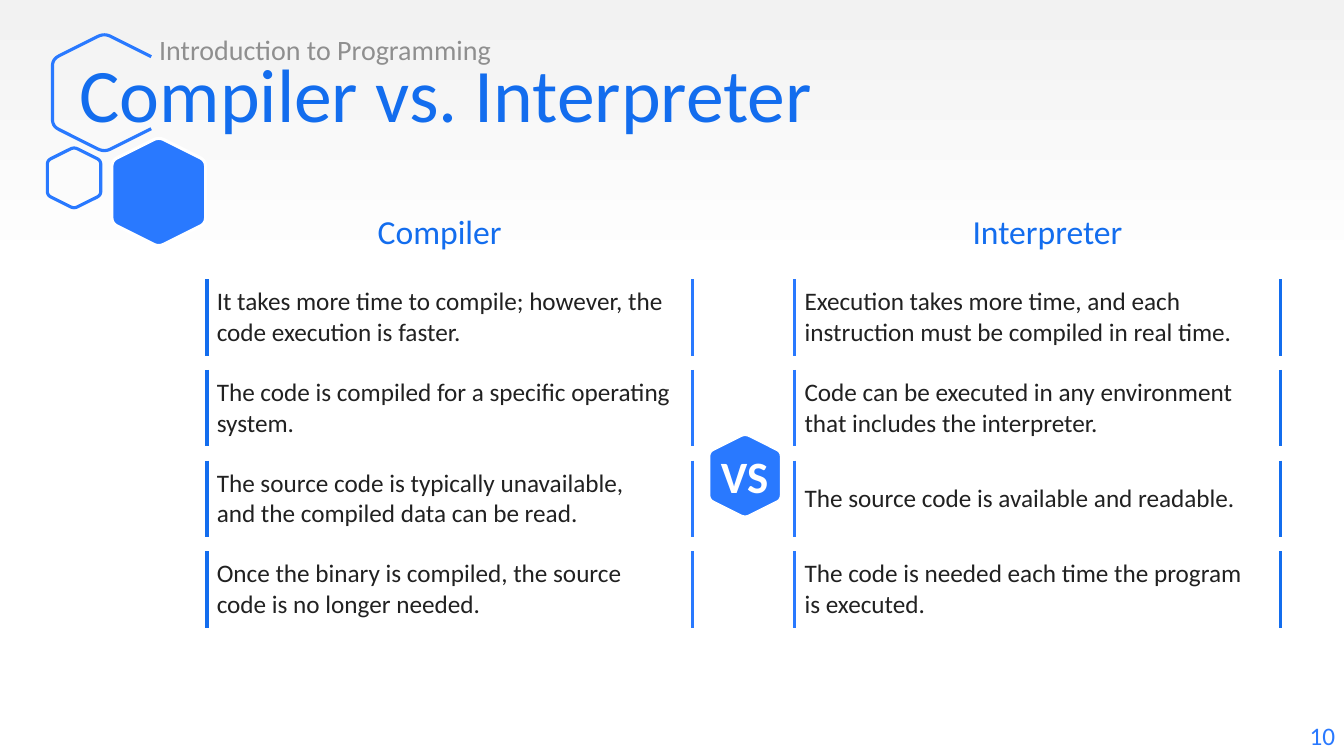
from lxml.etree import SubElement as sub
from pptx import Presentation
from pptx.dml.color import RGBColor as RGB
from pptx.enum.text import MSO_ANCHOR as Anchor, PP_ALIGN as Align
from pptx.oxml.ns import qn
from pptx.util import Inches, Pt

FONT = "Calibri"
HEX = {"blue": "2979FF", "deep": "136DEE", "gray": "8F8F8F", "ink": "212121",
       "white": "FFFFFF", "pale": "F2F2F2"}
PAIRS = [
    ("It takes more time to compile; however, the code execution is faster.",
     "Execution takes more time, and each instruction must be compiled in real time."),
    ("The code is compiled for a specific operating system.",
     "Code can be executed in any environment that includes the interpreter."),
    ("The source code is typically unavailable,\nand the compiled data can be read.",
     "The source code is available and readable."),
    ("Once the binary is compiled, the source\ncode is no longer needed.",
     "The code is needed each time the program\nis executed."),
]


def tint(name):
    return RGB.from_string(HEX[name])


def write(frame, text, size, color, align=Align.LEFT, bold=False):
    para = frame.paragraphs[0]
    para.alignment = align
    for i, line in enumerate(text.split("\n")):
        if i:
            para.add_line_break()
        run = para.add_run()
        run.text = line
        run.font.name, run.font.size, run.font.bold = FONT, Pt(size), bold
        run.font.color.rgb = tint(color)
    return para


def label(slide, box, text, size, color, align=Align.LEFT,
          anchor=Anchor.TOP, bold=False, wrap=True):
    frame = slide.shapes.add_textbox(*map(Inches, box)).text_frame
    frame.word_wrap = wrap
    frame.vertical_anchor = anchor
    write(frame, text, size, color, align, bold)


# Hexagons with rounded corners
def bend(prev, tip, following, reach):
    """Points of a curve that rounds the corner at tip."""
    def toward(end):
        dx, dy = end[0] - tip[0], end[1] - tip[1]
        part = reach / (dx * dx + dy * dy) ** 0.5
        return tip[0] + dx * part, tip[1] + dy * part
    a, b = toward(prev), toward(following)
    steps = [n / 6 for n in range(7)]
    return [tuple((1 - t) ** 2 * a[k] + 2 * t * (1 - t) * tip[k] + t * t * b[k]
                  for k in (0, 1)) for t in steps]


def hexagon(slide, box, reach, fill=None, line="blue", cut=None):
    """Pointed-top hexagon; cut is the width left when the right side is open."""
    x, y, w, h = box
    mid, low, drop = x + w / 2, y + h, w / 4
    tips = [(mid, y), (x, y + drop), (x, low - drop), (mid, low)]
    if cut:
        rise = (cut - w / 2) / 2
        ends = [(x + cut, y + rise), (x + cut, low - rise)]
        tips = [ends[0]] + tips + [ends[1]]
        points = [ends[0]]
        for i in range(1, 5):
            points += bend(*tips[i - 1:i + 2], reach)
        points.append(ends[1])
    else:
        tips += [(x + w, low - drop), (x + w, y + drop)]
        points = []
        for i, tip in enumerate(tips):
            points += bend(tips[i - 1], tip, tips[(i + 1) % 6], reach)
    dots = [(Inches(px), Inches(py)) for px, py in points]
    pen = slide.shapes.build_freeform(*dots[0])
    pen.add_line_segments(dots[1:], close=not cut)
    shape = pen.convert_to_shape()
    shape.shadow.inherit = False
    if fill:
        shape.fill.solid()
        shape.fill.fore_color.rgb = tint(fill)
    else:
        shape.fill.background()
    shape.line.color.rgb = tint(line)
    shape.line.width = Pt(2.25)


def cluster(slide, x, y):
    hexagon(slide, (x + 0.05, y, 1.03, 1.18), 0.07, cut=0.98)
    hexagon(slide, (x, y + 1.13, 0.53, 0.61), 0.04)
    hexagon(slide, (x + 0.64, y + 1.03, 0.93, 1.09), 0.06, "blue", "white")


def badge(slide, x, y):
    hexagon(slide, (x, y, 0.72, 0.84), 0.05, "blue", "white")
    label(slide, (x + 0.02, y + 0.1, 0.67, 0.64), "VS", 32, "white",
          Align.CENTER, bold=True, wrap=False)


def header(slide, x, y):
    label(slide, (x, y + 0.05, 11.49, 1.2), "Compiler vs. Interpreter", 54,
          "deep", anchor=Anchor.MIDDLE)
    label(slide, (x + 0.79, y, 4.45, 0.36), "Introduction to Programming", 20, "gray")


# Comparison table
def edges(cell, left, right):
    props = cell._tc.get_or_add_tcPr()
    for i, (tag, color) in enumerate((("a:lnL", left), ("a:lnR", right))):
        line = sub(props, qn(tag), w=str(Pt(3)))
        sub(sub(line, qn("a:solidFill")), qn("a:srgbClr"), val=HEX[color])
        props.insert(i, line)


def compare(slide, x, y):
    widths = [4.82, 1.01, 4.82]
    heights = [0.64, 0.14] + [0.76, 0.14] * len(PAIRS)
    table = slide.shapes.add_table(len(heights), 3, Inches(x), Inches(y),
                                   Inches(sum(widths)), Inches(sum(heights))).table
    table.first_row = table.horz_banding = False
    # Plain style without a grid
    style = table._tbl.tblPr.find(qn("a:tableStyleId"))
    style.text = "{2D5ABB26-0587-4C30-8999-92F81FD0307C}"
    for col, width in zip(table.columns, widths):
        col.width = Inches(width)
    for r, height in enumerate(heights):
        table.rows[r].height = Inches(height)
        for c in range(3):
            cell = table.cell(r, c)
            cell.fill.background()
            cell.vertical_anchor = Anchor.MIDDLE
            if r % 2 or c == 1:
                cell.margin_top = cell.margin_bottom = 0
                sub(cell.text_frame.paragraphs[0]._p, qn("a:endParaRPr"), sz="100")
    for c, text in ((0, "Compiler"), (2, "Interpreter")):
        para = write(table.cell(0, c).text_frame, text, 24, "deep", Align.CENTER)
        props = para._p.get_or_add_pPr()
        props.set("marL", str(Inches(0.2)))
        props.set("indent", "0")
        if c == 0:
            props.set("rtl", "1")
    for i, pair in enumerate(PAIRS):
        row = 2 + 2 * i
        for c, text in zip((0, 2), pair):
            write(table.cell(row, c).text_frame, text, 18, "ink")
        sides = ["deep", "blue", "blue", "deep"]
        for c in range(3):
            edges(table.cell(row, c), sides[c], sides[c + 1])


def backdrop(slide):
    fill = slide.background.fill
    fill.gradient()
    fill.gradient_angle = 270
    for stop, place, name in zip(fill.gradient_stops, (0, 0.37), ("pale", "white")):
        stop.position = place
        stop.color.rgb = tint(name)


def main():
    deck = Presentation()
    deck.slide_width, deck.slide_height = Inches(13.33), Inches(7.5)
    slide = deck.slides.add_slide(deck.slide_layouts[6])
    backdrop(slide)
    cluster(slide, 0.47, 0.33)
    badge(slide, 7.03, 4.3)
    label(slide, (11.58, 7.1, 1.76, 0.4), "10", 18, "blue", Align.RIGHT)
    header(slide, 0.69, 0.27)
    compare(slide, 2.05, 1.99)
    deck.save("out.pptx")


if __name__ == "__main__":
    main()
